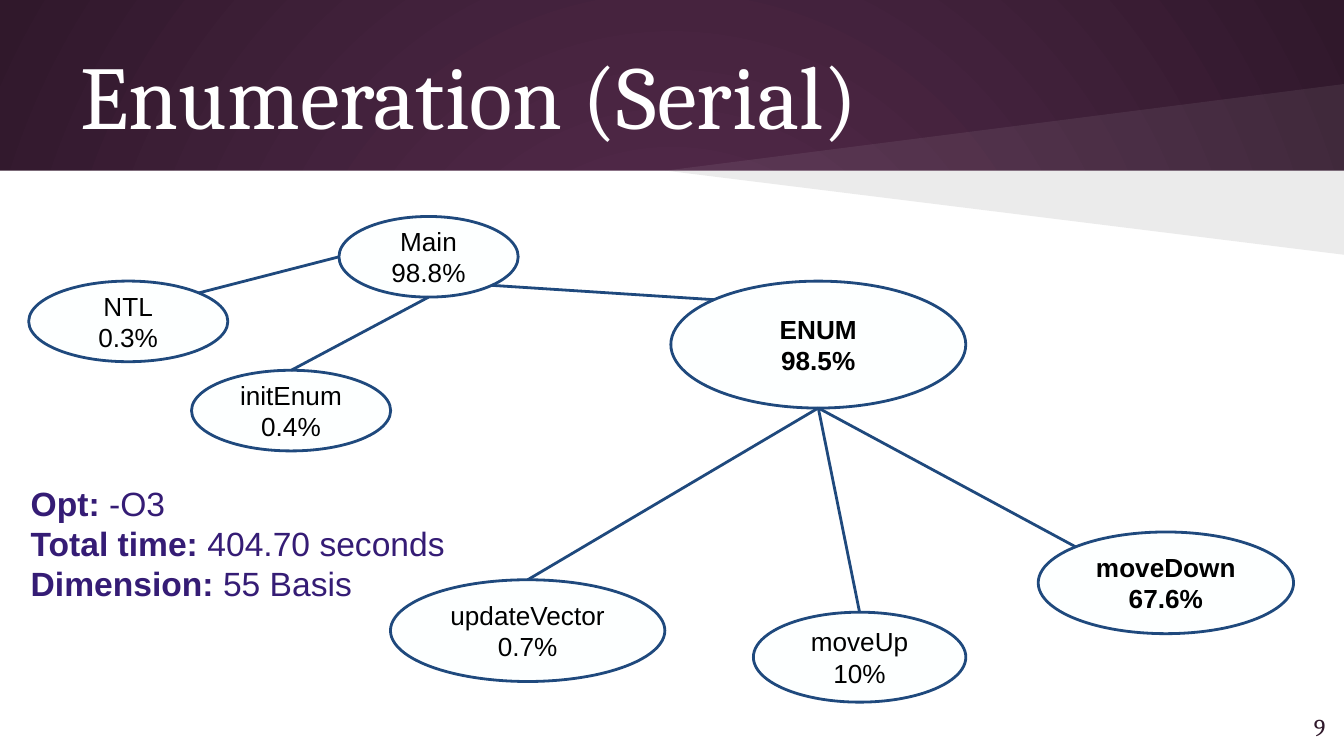
from dataclasses import dataclass
from math import sqrt

from lxml.etree import SubElement
from pptx import Presentation
from pptx.dml.color import RGBColor
from pptx.enum.shapes import MSO_CONNECTOR, MSO_SHAPE
from pptx.enum.text import MSO_ANCHOR as ANCHOR, PP_ALIGN as ALIGN
from pptx.oxml import parse_xml
from pptx.oxml.ns import nsdecls, qn
from pptx.util import Pt

COLORS = {
    "plum": "592D50",
    "dark": "30182B",
    "white": "FFFFFF",
    "black": "000000",
    "node": "FDFFFF",
    "line": "1F497D",
    "facts": "351C75",
}
WIDTH, HEIGHT, BAND = 720, 405, 91.4
TOP, LEFT, BOTTOM = (0, -1), (-1, 0), (0, 1)
D = sqrt(0.5)
TOP_LEFT, TOP_RIGHT, BOTTOM_RIGHT = (-D, -D), (D, -D), (D, D)


@dataclass(frozen=True)
class Node:
    name: str
    share: str
    x: float
    y: float
    w: float
    h: float
    bold: bool = False

    def site(self, side: tuple) -> tuple:
        return (Pt(self.x + self.w / 2 * (1 + side[0])),
                Pt(self.y + self.h / 2 * (1 + side[1])))


@dataclass(frozen=True)
class Edge:
    parent: str
    start: tuple
    child: str
    end: tuple


NODES = [
    Node("Main", "98.8%", 181.6, 116, 96, 43.2),
    Node("ENUM", "98.5%", 359.4, 150.6, 158, 68),
    Node("initEnum", "0.4%", 102.6, 198.4, 106.7, 43.2),
    Node("moveUp", "10%", 403.6, 328, 113.8, 48.2),
    Node("moveDown", "67.6%", 556.2, 285, 136.8, 54.5, True),
    Node("updateVector", "0.7%", 209.2, 310.6, 147, 54.5),
    Node("NTL", "0.3%", 15.4, 150.6, 106.7, 43.2),
]
BOLD_NODES = {"ENUM", "moveDown"}
EDGES = [
    Edge("ENUM", BOTTOM, "moveDown", TOP_LEFT),
    Edge("ENUM", BOTTOM, "moveUp", TOP),
    Edge("ENUM", BOTTOM, "updateVector", TOP),
    Edge("Main", BOTTOM_RIGHT, "ENUM", TOP_LEFT),
    Edge("Main", BOTTOM, "initEnum", TOP),
    Edge("Main", LEFT, "NTL", TOP_RIGHT),
]
FACTS = [("Opt:", " -O3"), ("Total time:", " 404.70 seconds"), ("Dimension: ", "55 Basis")]


def rgb(key: str) -> RGBColor:
    return RGBColor.from_string(COLORS[key])


def style_run(r, size: float, color: str, font: str = "Arial", bold: bool = False) -> None:
    r.font.name, r.font.size, r.font.bold = font, Pt(size), bold
    r.font.color.rgb = rgb(color)


def set_frame(tf, anchor) -> None:
    tf.word_wrap = True
    tf.vertical_anchor = anchor
    tf.margin_left = tf.margin_top = tf.margin_right = tf.margin_bottom = Pt(7.2)


def fill_shape(sp, color: str, alpha: int = 100) -> None:
    sp.shadow.inherit = False
    sp.fill.solid()
    sp.fill.fore_color.rgb = rgb(color)
    if alpha < 100:
        clr = sp.fill._xPr.find(".//" + qn("a:srgbClr"))
        SubElement(clr, qn("a:alpha"), val=str(alpha * 1000))


def add_background(s) -> None:
    fill = s.background.fill
    fill.gradient()
    for stop, color in zip(fill.gradient_stops, ("plum", "dark")):
        stop.color.rgb = rgb(color)
    lin = s.background._cSld.find(".//" + qn("a:lin"))
    lin.getparent().replace(lin, parse_xml(
        f'<a:path {nsdecls("a")} path="circle">'
        '<a:fillToRect l="50000" t="50000" r="50000" b="50000"/></a:path>'))
    sp = s.shapes.add_shape(MSO_SHAPE.RECTANGLE, 0, Pt(BAND), Pt(WIDTH), Pt(HEIGHT - BAND))
    fill_shape(sp, "white")
    sp.line.fill.background()


def add_wedge(s, edge_y: float, color: str, alpha: int) -> None:
    builder = s.shapes.build_freeform(Pt(WIDTH), Pt(BAND))
    builder.add_line_segments([(Pt(356.5), Pt(BAND)), (Pt(WIDTH), Pt(edge_y))])
    sp = builder.convert_to_shape()
    fill_shape(sp, color, alpha)
    sp.line.fill.background()


def add_text(s, text: str, box: tuple, anchor, align=ALIGN.LEFT):
    tf = s.shapes.add_textbox(*map(Pt, box)).text_frame
    set_frame(tf, anchor)
    tf.text = text
    tf.paragraphs[0].alignment = align
    return tf


def add_node(s, node: Node):
    sp = s.shapes.add_shape(MSO_SHAPE.OVAL, *map(Pt, (node.x, node.y, node.w, node.h)))
    fill_shape(sp, "node")
    sp.line.color.rgb = rgb("line")
    sp.line.width = Pt(1.5)
    tf = sp.text_frame
    set_frame(tf, ANCHOR.MIDDLE)
    tf.text = f"{node.name}\n{node.share}"
    for p in tf.paragraphs:
        p.alignment = ALIGN.CENTER
        style_run(p.runs[0], 14, "black", bold=node.name in BOLD_NODES)
    return sp


def add_edge(s, edge: Edge, nodes: dict, ovals: dict) -> None:
    start = nodes[edge.parent].site(edge.start)
    end = nodes[edge.child].site(edge.end)
    cxn = s.shapes.add_connector(MSO_CONNECTOR.STRAIGHT, *start, *end)
    if edge.end == TOP:
        cxn.end_connect(ovals[edge.child], 0)
    cxn.line.color.rgb = rgb("line")
    cxn.line.width = Pt(1.5)
    SubElement(cxn._element.spPr, qn("a:effectLst"))


def add_facts(s) -> None:
    text = "\n".join(label + value for label, value in FACTS)
    tf = add_text(s, text, (9.4, 251.3, 244.8, 48.2), ANCHOR.TOP)
    for p, (label, value) in zip(tf.paragraphs, FACTS):
        p.runs[0].text = label
        p.add_run().text = value
        for r, bold in zip(p.runs, (True, False)):
            style_run(r, 18, "facts", bold=bold)


def main() -> None:
    prs = Presentation()
    prs.slide_width, prs.slide_height = Pt(WIDTH), Pt(HEIGHT)
    s = prs.slides.add_slide(prs.slide_layouts[6])
    add_background(s)
    add_wedge(s, 45, "white", 7)
    add_wedge(s, 136.5, "black", 8)
    tf = add_text(s, "Enumeration (Serial)", (36, 16.6, 648, 67.7), ANCHOR.MIDDLE)
    style_run(tf.paragraphs[0].runs[0], 48, "white", "Cambria")
    nodes = {node.name: node for node in NODES}
    ovals = {node.name: add_node(s, node) for node in NODES}
    for edge in EDGES:
        add_edge(s, edge, nodes, ovals)
    add_facts(s)
    tf = add_text(s, "9", (674, 373.7, 43.2, 31), ANCHOR.MIDDLE, ALIGN.RIGHT)
    style_run(tf.paragraphs[0].runs[0], 13, "dark", "Cambria")
    prs.save("out.pptx")


if __name__ == "__main__":
    main()
